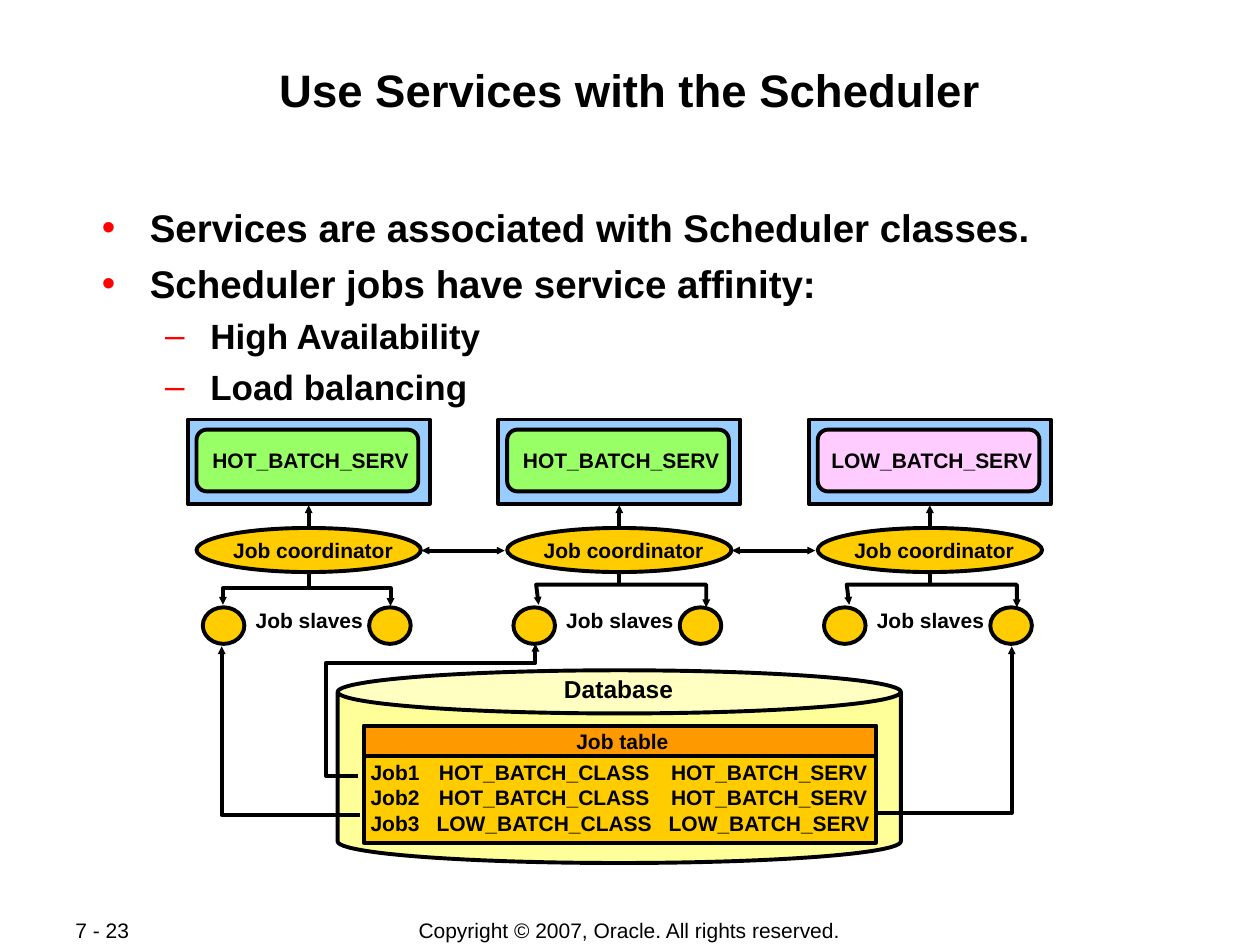
from pptx import Presentation
from pptx.dml.color import RGBColor
from pptx.enum.shapes import MSO_CONNECTOR as Link, MSO_SHAPE as Kind
from pptx.enum.text import MSO_ANCHOR as Anchor, PP_ALIGN as Align
from pptx.oxml.ns import qn
from pptx.util import Inches, Pt
from lxml.etree import SubElement as Sub

BLACK, GOLD = "000000", "FFCC00"


def tint(code):
    """Turn a hex string into a colour."""
    return RGBColor.from_string(code)


def bullet(para, mark, left, hang):
    """Give a paragraph a red bullet and a hanging indent."""
    props = para._p.get_or_add_pPr()
    props.set("marL", str(Inches(left)))
    props.set("indent", str(Inches(-hang)))
    Sub(Sub(props, qn("a:buClr")), qn("a:srgbClr"), val="FF0000")
    Sub(props, qn("a:buFont"), typeface="Arial")
    Sub(props, qn("a:buChar"), char=mark)


def style(para, text, size=12, bold=True, align=Align.CENTER, gap=0):
    """Write one formatted run in a paragraph."""
    para.alignment = align
    para.space_before = Pt(gap)
    run = para.add_run()
    run.text = text
    font = run.font
    font.name, font.size, font.bold = "Arial", Pt(size), bold
    font.color.rgb = tint(BLACK)


def frame(slide, box, pad=(0.1, 0.05), anchor=Anchor.TOP):
    """Add an empty text box and return its text frame."""
    body = slide.shapes.add_textbox(*map(Inches, box)).text_frame
    body.word_wrap = True
    body.vertical_anchor = anchor
    body.margin_left = body.margin_right = Inches(pad[0])
    body.margin_top = body.margin_bottom = Inches(pad[1])
    return body


def label(slide, box, text, pad=(0.1, 0.05), anchor=Anchor.TOP, **form):
    """Add a text box of one paragraph."""
    style(frame(slide, box, pad, anchor).paragraphs[0], text, **form)


def block(slide, kind, box, fill):
    """Add a filled preset shape with a black outline."""
    shape = slide.shapes.add_shape(kind, *map(Inches, box))
    shape.shadow.inherit = False
    shape.fill.solid()
    shape.fill.fore_color.rgb = tint(fill)
    shape.line.color.rgb = tint(BLACK)
    shape.line.width = Pt(2.25)
    return shape


def ink(shape, *ends):
    """Draw a black line with arrowheads at the named ends."""
    shape.line.color.rgb = tint(BLACK)
    shape.line.width = Pt(2.25)
    for end in ends:
        Sub(shape.line._get_or_add_ln(), qn(f"a:{end}"), type="triangle", w="sm", len="sm")


def line(slide, start, stop, *ends):
    """Add a straight connector."""
    link = slide.shapes.add_connector(Link.STRAIGHT, *map(Inches, start + stop))
    ink(link, *ends)
    Sub(link._element.spPr, qn("a:effectLst"))


def route(slide, points, *ends):
    """Add an open line through several points."""
    first, *rest = [tuple(map(Inches, spot)) for spot in points]
    pen = slide.shapes.build_freeform(*first)
    pen.add_line_segments(rest, close=False)
    shape = pen.convert_to_shape()
    shape.shadow.inherit = False
    shape.fill.background()
    ink(shape, *ends)


def header(slide, box):
    """Place the slide title."""
    label(slide, box, "Use Services with the Scheduler", pad=(0.01, 0.01), size=26)


def points(slide, box):
    """Place the two levels of bullets."""
    rows = [("Services are associated with Scheduler classes.", 1),
            ("Scheduler jobs have service affinity:", 1),
            ("High Availability", 2), ("Load balancing", 2)]
    forms = {1: ("•", 0.51, 0.38, 22, 5.5), 2: ("–", 0.99, 0.36, 20, 5)}
    body = frame(slide, box, (0.01, 0.01))
    for row, (text, level) in enumerate(rows):
        para = body.add_paragraph() if row else body.paragraphs[0]
        mark, left, hang, size, gap = forms[level]
        bullet(para, mark, left, hang)
        style(para, text, size=size, align=Align.LEFT, gap=gap if row else 0)


def store(slide, box):
    """Place the database with its job table."""
    x, y, w, h = box
    block(slide, Kind.CAN, box, "FFFF99").adjustments[0] = 0.224
    label(slide, (x + 1.48, y - 0.02, 1.5, 0.34), "Database", size=14)
    left, top, wide = x + 0.21, y + 0.44, 4.06
    block(slide, Kind.RECTANGLE, (left, top, wide, 0.93), GOLD)
    block(slide, Kind.RECTANGLE, (left, top, wide, 0.24), "FF9900")
    label(slide, (left + 1.45, top - 0.03, 1.2, 0.3), "Job table")
    cols = [(-0.05, 0.59), (0.47, 1.92), (2.31, 1.81)]
    for row, rank in enumerate(("HOT", "HOT", "LOW")):
        cells = f"Job{row + 1}", f"{rank}_BATCH_CLASS", f"{rank}_BATCH_SERV"
        for (dx, width), text in zip(cols, cells):
            label(slide, (left + dx, top + 0.22 + 0.2 * row, width, 0.3), text)


def node(slide, box, name, fill, fork):
    """Place one service with its coordinator and slaves."""
    x, y, w, h = box
    mid = x + w / 2
    block(slide, Kind.RECTANGLE, (x, y, w, 0.67), "99CCFF")
    block(slide, Kind.FLOWCHART_ALTERNATE_PROCESS, (x + 0.07, y + 0.08, 1.76, 0.49), fill)
    label(slide, (x + 0.07, y + 0.17, 1.81, 0.3), name)
    block(slide, Kind.OVAL, (x + 0.07, y + 0.86, 1.78, 0.35), GOLD)
    label(slide, (x + 0.26, y + 0.89, 1.47, 0.3), "Job coordinator")
    for dx in (0.12, 1.44):
        block(slide, Kind.OVAL, (x + dx, y + 1.49, 0.33, 0.29), GOLD)
    label(slide, (x + 0.44, y + 1.44, 1.05, 0.3), "Job slaves")
    line(slide, (mid, y + 0.85), (mid, y + 0.68), "tailEnd")
    tip, left, right, bar, foot = fork
    route(slide, [(x + tip, y + 1.47), (x + left, y + bar), (x + right, y + bar),
                  (x + right, y + foot)], "headEnd", "tailEnd")
    line(slide, (mid, y + 1.21), (mid, y + bar))


def cluster(slide, box):
    """Place the three nodes and the links between them."""
    x, y, w, h = box
    step, wide = 2.465, 1.92
    even, slant = (0.28, 0.28, 1.61, 1.34, 1.48), (0.32, 0.3, 1.65, 1.31, 1.49)
    nodes = [("HOT_BATCH_SERV", "99FF66", even), ("HOT_BATCH_SERV", "99FF66", slant),
             ("LOW_BATCH_SERV", "FFCCFF", slant)]
    for col, parts in enumerate(nodes):
        left = x + col * step
        node(slide, (left, y, wide, h), *parts)
        if col:
            line(slide, (left - 0.61, y + 1.04), (left + 0.05, y + 1.04), "headEnd", "tailEnd")


def routes(slide, box):
    """Place the arrows from the job table to the slaves."""
    x, y, w, h = box
    right = x + w
    route(slide, [(x + 1.08, y + 1.05), (x + 0.83, y + 1.05), (x + 0.83, y + 0.15),
                  (x + 2.49, y + 0.15), (x + 2.49, y)], "tailEnd")
    route(slide, [(right - 1.06, y + 1.34), (right, y + 1.34), (right, y + 0.02)], "tailEnd")
    route(slide, [(x + 1.1, y + h), (x, y + h), (x, y + 0.02)], "tailEnd")


def footer(slide, box):
    """Place the page number and the copyright line."""
    x, y, w, h = box
    form = {"bold": False, "anchor": Anchor.MIDDLE}
    label(slide, (x, y, 1.06, h), "7 - 23", align=Align.LEFT, **form)
    label(slide, (x + 2.25, y, 4.49, h), "Copyright © 2007, Oracle. All rights reserved.", **form)


def main():
    """Build and save the slide."""
    deck = Presentation()
    deck.slide_width, deck.slide_height = Inches(10), Inches(7.5)
    slide = deck.slides.add_slide(deck.slide_layouts[6])
    footer(slide, (0.5, 7.28, 9, 0.21))
    header(slide, (0.67, 0.48, 8.66, 0.96))
    points(slide, (0.67, 1.61, 8.66, 1.64))
    store(slide, (2.68, 5.32, 4.47, 1.53))
    cluster(slide, (1.49, 3.33, 6.85, 1.78))
    routes(slide, (1.76, 5.11, 6.27, 1.36))
    deck.save("out.pptx")


if __name__ == "__main__":
    main()
